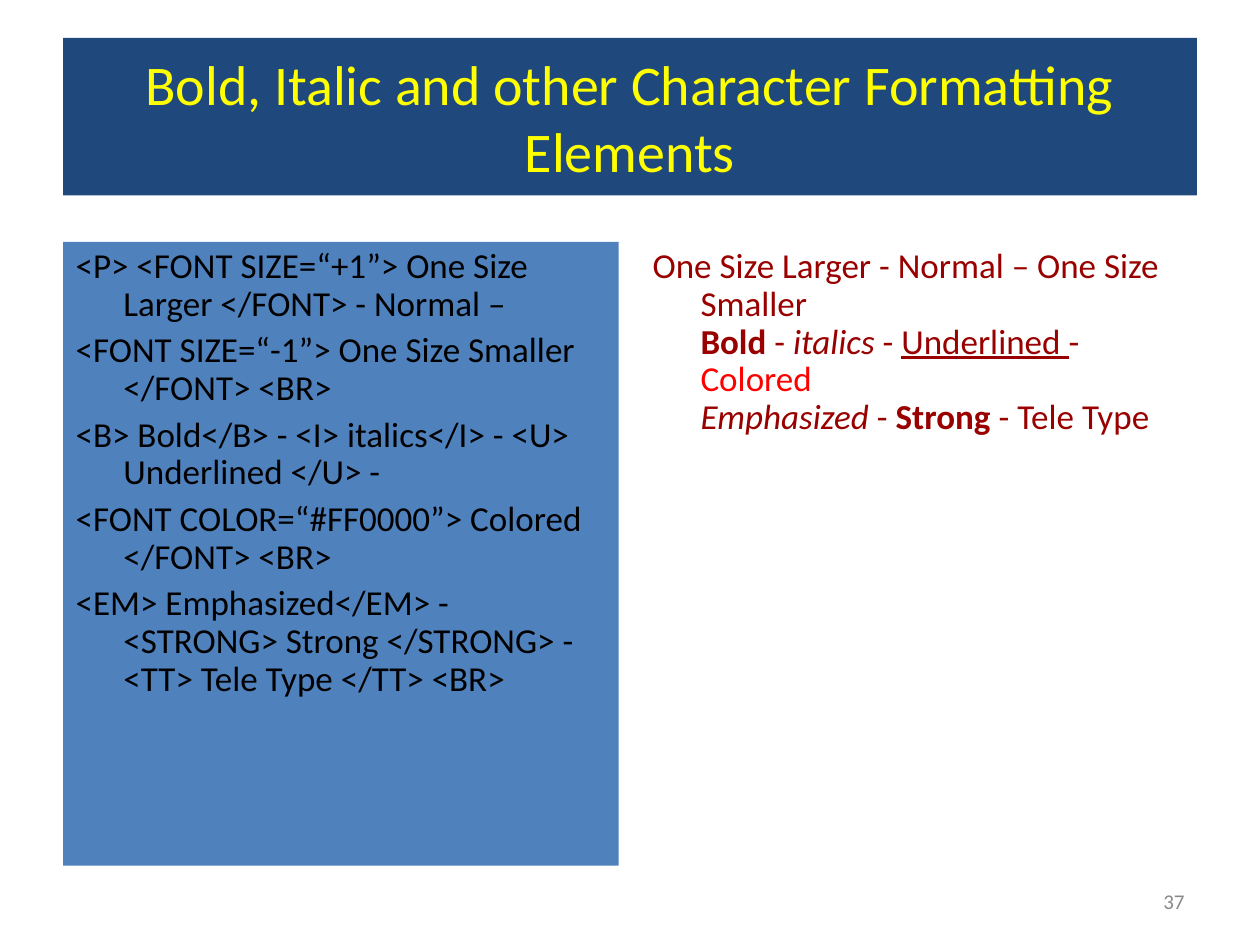
from dataclasses import dataclass

from lxml import etree
from pptx import Presentation
from pptx.dml.color import RGBColor
from pptx.enum import text
from pptx.oxml import ns
from pptx.util import Inches, Pt


@dataclass(frozen=True)
class Theme:
    """Colours, type sizes and font of the slide."""
    font: str = "Calibri"
    navy: str = "1F497D"
    blue: str = "4F81BD"
    yellow: str = "FFFF00"
    black: str = "000000"
    maroon: str = "990000"
    red: str = "FF0000"
    grey: str = "898989"
    title: int = 32
    body: int = 20
    number: int = 12


THEME = Theme()
MARKUP = [
    "<P> <FONT SIZE=“+1”> One Size Larger </FONT> - Normal –",
    "<FONT SIZE=“-1”> One Size Smaller </FONT> <BR>",
    "<B> Bold</B> - <I> italics</I> - <U> Underlined </U> -",
    "<FONT COLOR=“#FF0000”> Colored </FONT> <BR>",
    "<EM> Emphasized</EM> - <STRONG> Strong </STRONG> - <TT> Tele Type </TT> <BR>",
]
RENDERED = [
    [("One Size Larger - Normal – One Size Smaller ", {})],
    [("Bold", {"bold": True}), (" - ", {}), ("italics", {"italic": True}), (" - ", {}),
     ("Underlined ", {"underline": True}), ("- ", {}), ("Colored ", {"color": THEME.red})],
    [("Emphasized", {"italic": True}), (" - ", {}), ("Strong ", {"bold": True}),
     ("- Tele Type ", {})],
]


def set_all(target, values):
    """Set each attribute of target from a dict."""
    for name, value in values.items():
        setattr(target, name, value)


def place(sp, box, fill=None):
    """Move a shape to a box in inches and give it an optional fill."""
    set_all(sp, dict(zip(("left", "top", "width", "height"), map(Inches, box))))
    if fill:
        sp.fill.solid()
        sp.fill.fore_color.rgb = RGBColor.from_string(fill)
    set_all(sp.text_frame, {"word_wrap": True, "auto_size": text.MSO_AUTO_SIZE.NONE})


def add_run(p, words, size, color, **marks):
    """Add a formatted run to a paragraph."""
    r = p.add_run()
    r.text = words
    set_all(r.font, {"name": THEME.font, "size": Pt(size), **marks})
    r.font.color.rgb = RGBColor.from_string(color)


def add_line(sp, box, words, size, color, align, fill=None):
    """Place a single-paragraph text, centred vertically in its box."""
    place(sp, box, fill)
    sp.text_frame.vertical_anchor = text.MSO_ANCHOR.MIDDLE
    p = sp.text_frame.paragraphs[0]
    p.alignment = align
    add_run(p, words, size, color)


def format_hanging(p):
    """Give a body paragraph a hanging indent without a bullet."""
    pPr = p._p.get_or_add_pPr()
    pPr.set("marL", str(Inches(0.38)))
    pPr.set("indent", str(Inches(-0.38)))
    etree.SubElement(pPr, ns.qn("a:buNone"))
    set_all(p, {"line_spacing": 0.9, "space_before": Pt(5)})


def add_markup(sp, box):
    """Fill the left panel with the HTML source."""
    place(sp, box, THEME.blue)
    tf = sp.text_frame
    for i, words in enumerate(MARKUP):
        p = tf.add_paragraph() if i else tf.paragraphs[0]
        format_hanging(p)
        add_run(p, words, THEME.body, THEME.black)


def add_rendered(sp, box):
    """Fill the right panel with the formatted result."""
    place(sp, box)
    p = sp.text_frame.paragraphs[0]
    format_hanging(p)
    for i, line in enumerate(RENDERED):
        if i:
            p.add_line_break()
        for words, marks in line:
            add_run(p, words, THEME.body, **{"color": THEME.maroon, **marks})


def main():
    """Build and save the slide."""
    prs = Presentation()
    set_all(prs, {"slide_width": Inches(10), "slide_height": Inches(7.5)})
    s = prs.slides.add_slide(prs.slide_layouts[3])
    title, left, right = s.placeholders
    add_line(title, (0.5, 0.3, 9, 1.25), "Bold, Italic and other Character Formatting Elements",
             THEME.title, THEME.yellow, text.PP_ALIGN.CENTER, THEME.navy)
    add_markup(left, (0.5, 1.92, 4.41, 4.95))
    add_rendered(right, (5.08, 1.92, 4.41, 4.95))
    number = s.shapes.add_textbox(0, 0, 0, 0)
    add_line(number, (7.17, 6.95, 2.33, 0.4), "37", THEME.number, THEME.grey,
             text.PP_ALIGN.RIGHT)
    prs.save("out.pptx")


if __name__ == "__main__":
    main()
